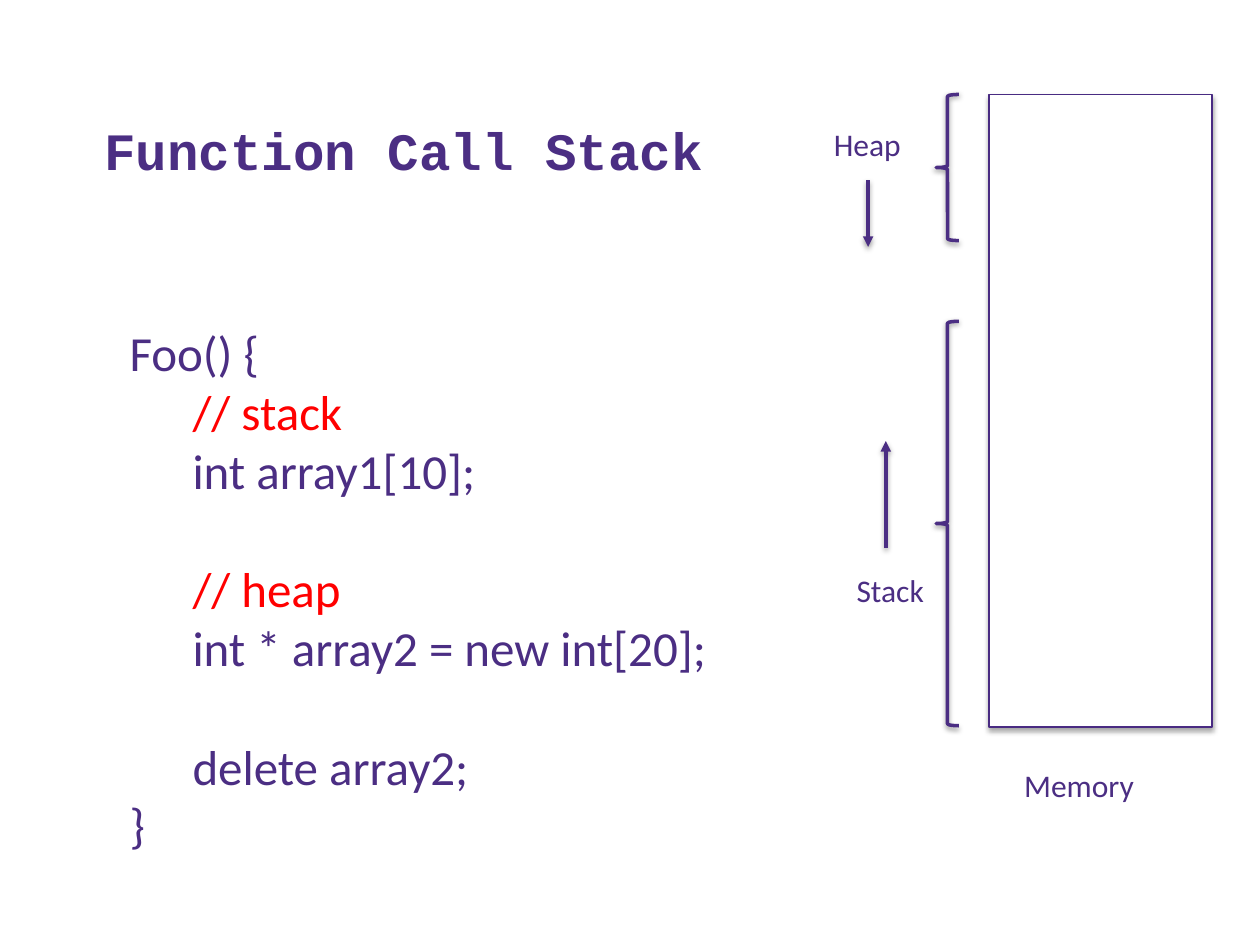
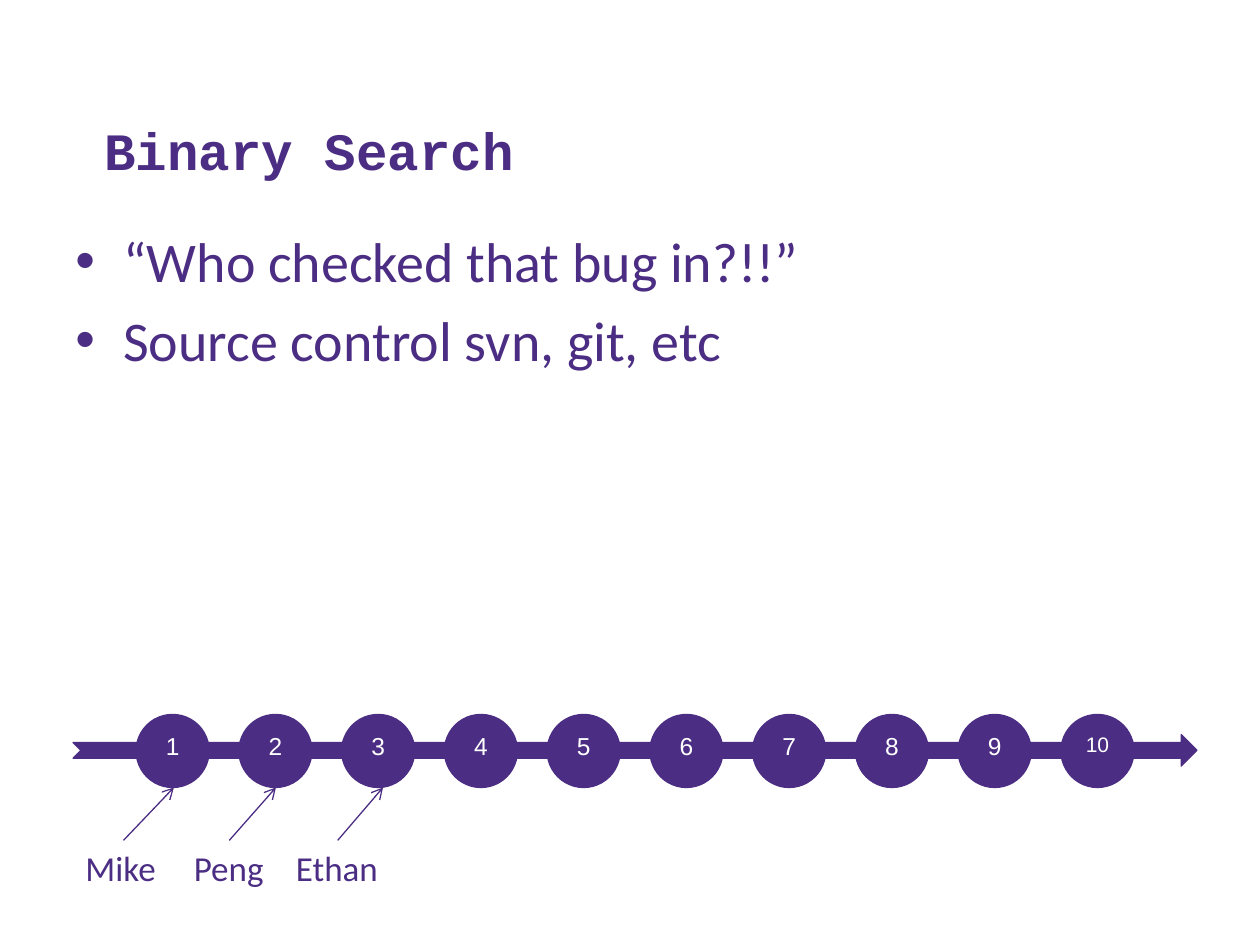
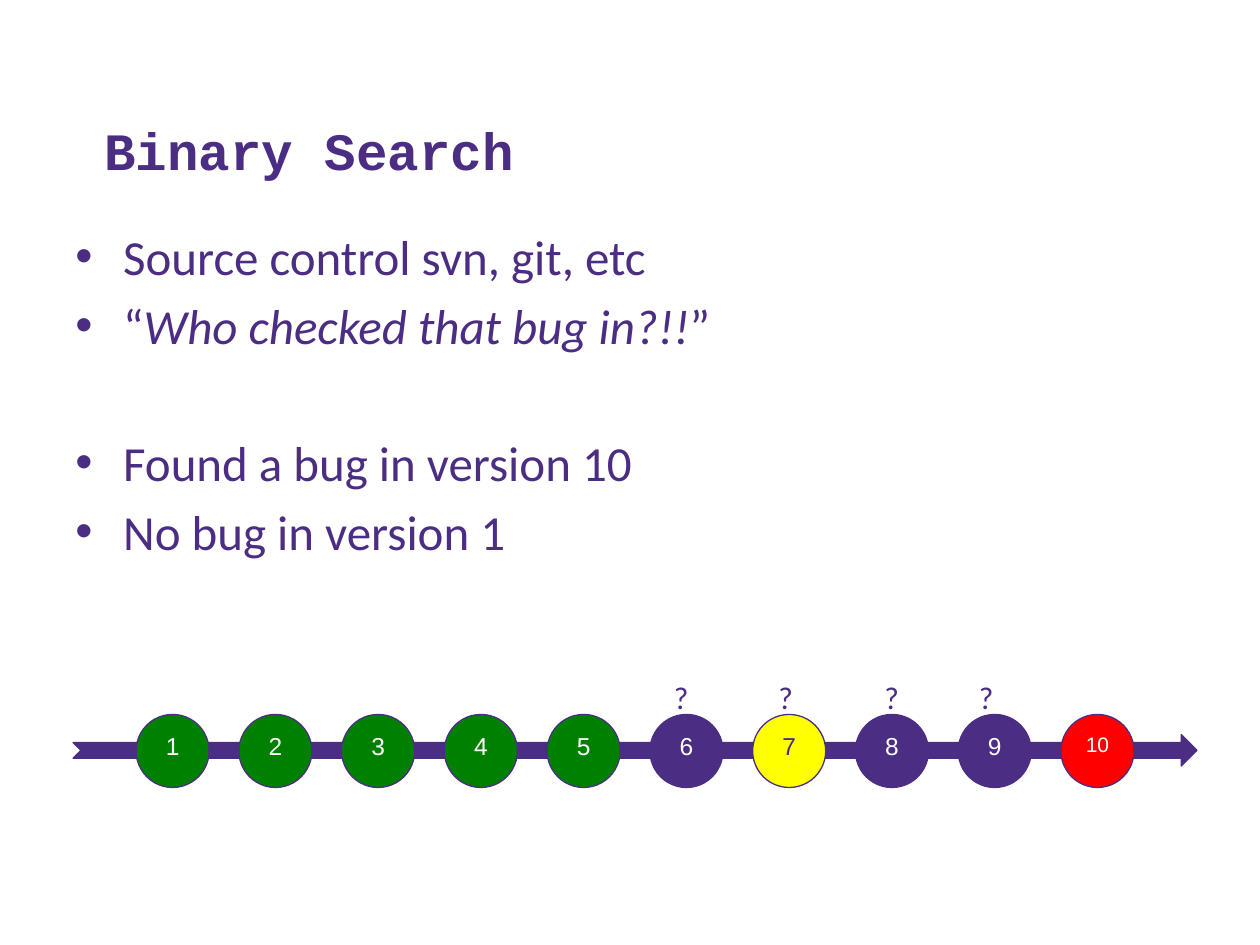
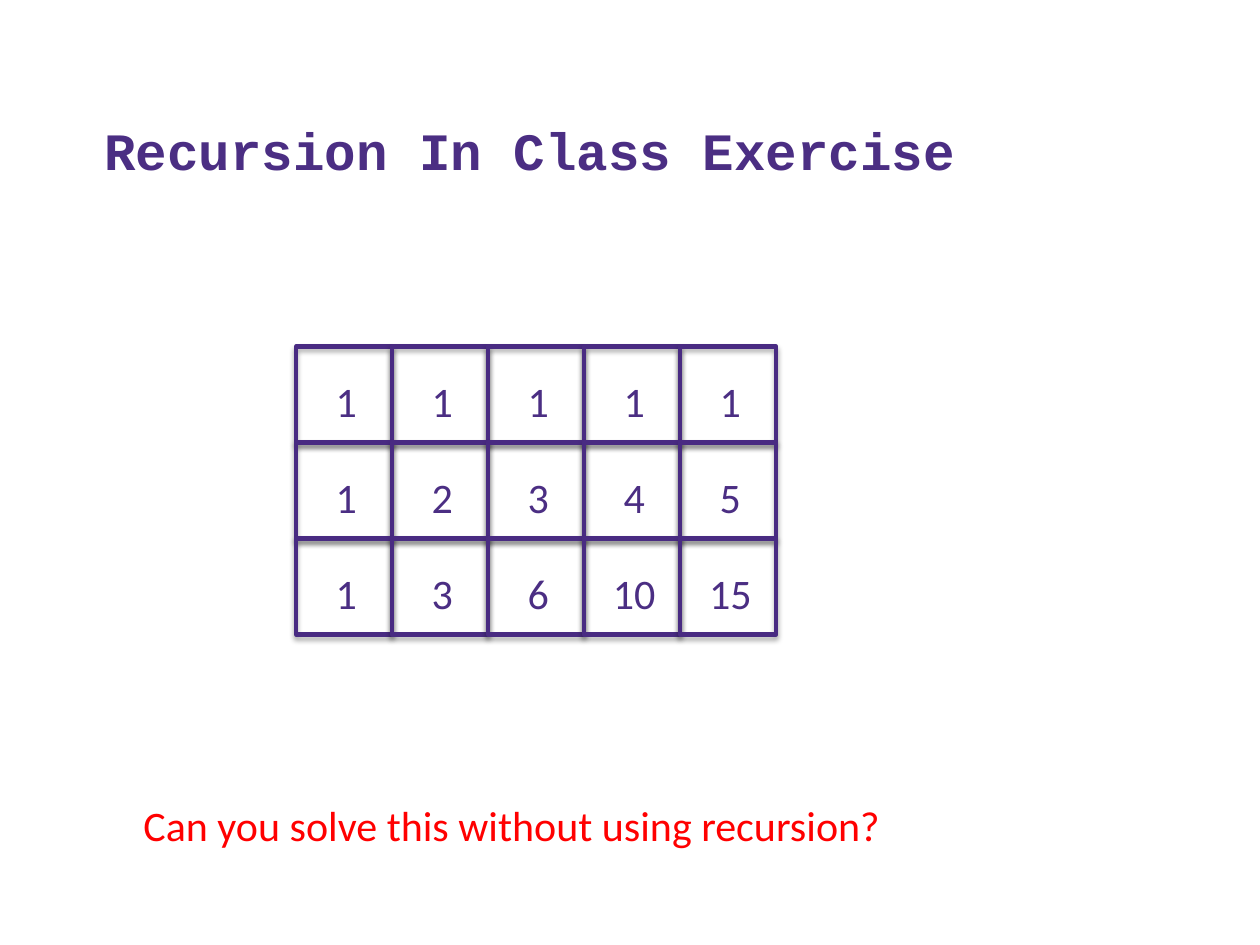
from lxml import etree
from pptx import Presentation
from pptx.dml.color import RGBColor
from pptx.enum.shapes import MSO_CONNECTOR, MSO_SHAPE
from pptx.enum.text import MSO_ANCHOR, MSO_AUTO_SIZE, PP_ALIGN
from pptx.oxml.ns import qn
from pptx.util import Inches, Pt

RECTANGLE, BRACE = MSO_SHAPE.RECTANGLE, MSO_SHAPE.LEFT_BRACE
OVAL, NOTCHED_ARROW = MSO_SHAPE.OVAL, MSO_SHAPE.NOTCHED_RIGHT_ARROW
STRAIGHT = MSO_CONNECTOR.STRAIGHT
TOP, BOTTOM = MSO_ANCHOR.TOP, MSO_ANCHOR.BOTTOM
GROW, FIXED = MSO_AUTO_SIZE.SHAPE_TO_FIT_TEXT, MSO_AUTO_SIZE.NONE
CENTER = PP_ALIGN.CENTER

PURPLE = RGBColor(0x4B, 0x2E, 0x83)
OUTLINE = RGBColor(0x49, 0x2B, 0x82)
WHITE = RGBColor(0xFF, 0xFF, 0xFF)
RED = RGBColor(0xFF, 0x00, 0x00)
GREEN = RGBColor(0x00, 0x80, 0x00)
YELLOW = RGBColor(0xFF, 0xFF, 0x00)
BODY_FONT, TITLE_FONT, NUMBER_FONT = "Calibri", "Courier New", "Arial"

SLIDE_WIDTH, SLIDE_HEIGHT = 10, 7.5
TITLE_BOX = (0.73, 0.41, 8.95, 1.08)
BODY_BOX = (0.5, 1.75, 9, 4.87)
BOX_SHADOW = {"alpha": 35, "blur": 3.1, "distance": 1.8}
LINE_SHADOW = {"alpha": 38, "blur": 3.1, "distance": 1.6}

CODE_BOX = (0.93, 2.51, 4.83, 4.34)
CODE_SIZE = 28
CODE_BLOCKS = [
    ["Foo() {", "\t// stack", "\tint array1[10];"],
    ["\t// heap", "\tint * array2 = new int[20];"],
    ["\tdelete array2;", "}"],
]
MEMORY_BOX = (7.85, 0.75, 1.77, 5.02)
BRACES = [(7.43, 2.55, 0.18, 3.21), (7.43, 0.75, 0.18, 1.16)]
MEMORY_LABELS = [
    ("Stack", (6.7, 4.48, 0.74, 0.4)),
    ("Heap", (6.52, 0.94, 0.74, 0.4)),
    ("Memory", (8.03, 6.03, 1.08, 0.4)),
]
GROWTH_ARROWS = [((7.03, 4.35), (7.03, 3.5)), ((6.89, 1.43), (6.89, 1.96))]

TIMELINE_BOX = (0.58, 5.83, 8.92, 0.25)
VERSION_COUNT = 10
FIRST_VERSION, LAST_VERSION = 1.08, 8.42
VERSION_TOP, VERSION_SIZE = 5.67, 0.58
VERSION_PITCH = (LAST_VERSION - FIRST_VERSION) / (VERSION_COUNT - 1)
TESTED = {**dict.fromkeys(range(1, 6), GREEN), 7: YELLOW, 10: RED}
AUTHOR_TOP, AUTHOR_HEIGHT = 6.67, 0.44
AUTHORS = [
    ("Mike", 0.58, 0.79, 0.98, 1.38),
    ("Peng", 1.44, 0.76, 1.82, 2.19),
    ("Ethan", 2.25, 0.86, 2.68, 3.04),
]
QUESTION_LEFTS = [5.25, 6.08, 6.92, 7.67]
SEARCH_BULLETS = [
    [[("“Who checked that bug in?!!”", False)], [("Source control svn, git, etc", False)]],
]
BUG_BULLETS = [
    [
        [("Source control svn, git, etc", False)],
        [("“", False), ("Who checked that bug in?!!", True), ("”", False)],
    ],
    [[("Found a bug in version 10", False)], [("No bug in version 1", False)]],
]

GRID_ROWS = [[1, 1, 1, 1, 1], [1, 2, 3, 4, 5], [1, 3, 6, 10, 15]]
GRID_LEFT, GRID_TOP, GRID_WIDTH = 2.35, 2.75, 3.81
CELL = GRID_WIDTH / len(GRID_ROWS[0])
NUMBER_WIDTHS = {1: 0.37, 2: 0.54}
QUESTION = "Can you solve this without using recursion?"
QUESTION_BOX = (1.04, 6.3, 6.1, 0.5)


def inches(lengths):
    return [Inches(length) for length in lengths]


def add_run(paragraph, text, size, color=PURPLE, font=BODY_FONT, bold=False, italic=False):
    run = paragraph.add_run()
    run.text = text
    run.font.size = Pt(size)
    run.font.name = font
    run.font.color.rgb = color
    run.font.bold = bold
    run.font.italic = italic


def add_frame(slide, box, wrap=False, anchor=TOP):
    frame = slide.shapes.add_textbox(*inches(box)).text_frame
    frame.word_wrap = wrap
    frame.auto_size = FIXED if wrap else GROW
    frame.vertical_anchor = anchor
    return frame


def add_label(slide, text, box, size, color=PURPLE):
    add_run(add_frame(slide, box).paragraphs[0], text, size, color)


def next_paragraph(frame, index):
    return frame.add_paragraph() if index else frame.paragraphs[0]


def style_line(shape, color, width, shadow=None, arrowhead=None):
    shape.line.color.rgb = color
    shape.line.width = Pt(width)
    properties = shape._element.spPr
    if arrowhead:
        etree.SubElement(properties.find(qn("a:ln")), qn("a:tailEnd"), type=arrowhead)
    effects = etree.SubElement(properties, qn("a:effectLst"))
    if shadow:
        outer = etree.SubElement(
            effects, qn("a:outerShdw"), blurRad=str(Pt(shadow["blur"])),
            dist=str(Pt(shadow["distance"])), dir="5400000", rotWithShape="0")
        black = etree.SubElement(outer, qn("a:srgbClr"), val="000000")
        etree.SubElement(black, qn("a:alpha"), val=str(shadow["alpha"] * 1000))


def add_shape(slide, kind, box, fill=None, line=PURPLE, width=0.75, shadow=None):
    shape = slide.shapes.add_shape(kind, *inches(box))
    if fill is None:
        shape.fill.background()
    else:
        shape.fill.solid()
        shape.fill.fore_color.rgb = fill
    style_line(shape, line, width, shadow)
    return shape


def add_arrow(slide, start, end, width, arrowhead, shadow=None):
    connector = slide.shapes.add_connector(STRAIGHT, *inches(start + end))
    style_line(connector, PURPLE, width, shadow, arrowhead)


def add_titled_slide(presentation, title):
    slide = presentation.slides.add_slide(presentation.slide_layouts[6])
    frame = add_frame(slide, TITLE_BOX, wrap=True, anchor=BOTTOM)
    add_run(frame.paragraphs[0], title, 30, font=TITLE_FONT, bold=True)
    return slide


def add_code(slide):
    frame = add_frame(slide, CODE_BOX)
    index = 0
    for block in CODE_BLOCKS:
        for position, text in enumerate(block):
            paragraph = next_paragraph(frame, index)
            properties = paragraph._p.get_or_add_pPr()
            tabs = etree.SubElement(properties, qn("a:tabLst"))
            etree.SubElement(tabs, qn("a:tab"), pos=str(Inches(0.5)), algn="l")
            if index and position == 0:
                paragraph.space_before = Pt(CODE_SIZE * 1.22)
            add_run(paragraph, text, CODE_SIZE, RED if "//" in text else PURPLE)
            index += 1


def add_bullets(slide, groups, size):
    frame = add_frame(slide, BODY_BOX, wrap=True)
    index = 0
    for group in groups:
        for position, runs in enumerate(group):
            paragraph = next_paragraph(frame, index)
            properties = paragraph._p.get_or_add_pPr()
            properties.set("marL", str(Inches(0.38)))
            properties.set("indent", str(Inches(-0.38)))
            etree.SubElement(properties, qn("a:buFont"), typeface=NUMBER_FONT)
            etree.SubElement(properties, qn("a:buChar"), char="•")
            if index:
                paragraph.space_before = Pt(size * (0.2 if position else 1.6))
            for text, italic in runs:
                add_run(paragraph, text, size, italic=italic)
            index += 1


def add_timeline(slide, fills):
    add_shape(slide, NOTCHED_ARROW, TIMELINE_BOX, PURPLE)
    for version in range(1, VERSION_COUNT + 1):
        left = FIRST_VERSION + (version - 1) * VERSION_PITCH
        fill = fills.get(version, PURPLE)
        box = (left, VERSION_TOP, VERSION_SIZE, VERSION_SIZE)
        frame = add_shape(slide, OVAL, box, fill).text_frame
        frame.vertical_anchor = TOP
        paragraph = frame.paragraphs[0]
        paragraph.alignment = CENTER
        color = PURPLE if fill == YELLOW else WHITE
        add_run(paragraph, str(version), 14 if version < 10 else 12, color, NUMBER_FONT)


def build_call_stack(presentation):
    slide = add_titled_slide(presentation, "Function Call Stack")
    add_shape(slide, RECTANGLE, MEMORY_BOX, WHITE, OUTLINE, shadow=BOX_SHADOW)
    for box in BRACES:
        add_shape(slide, BRACE, box, width=2, shadow=LINE_SHADOW)
    for text, box in MEMORY_LABELS:
        add_label(slide, text, box, 18)
    for start, end in GROWTH_ARROWS:
        add_arrow(slide, start, end, 2, "triangle", LINE_SHADOW)
    add_code(slide)


def build_authors(presentation):
    slide = add_titled_slide(presentation, "Binary Search")
    add_bullets(slide, SEARCH_BULLETS, 32)
    add_timeline(slide, {})
    for name, left, width, start, end in AUTHORS:
        add_label(slide, name, (left, AUTHOR_TOP, width, AUTHOR_HEIGHT), 20)
        add_arrow(slide, (start, AUTHOR_TOP), (end, VERSION_TOP + VERSION_SIZE), 0.75, "arrow")


def build_bug_hunt(presentation):
    slide = add_titled_slide(presentation, "Binary Search")
    add_bullets(slide, BUG_BULLETS, 28)
    add_timeline(slide, TESTED)
    for left in QUESTION_LEFTS:
        add_label(slide, "?", (left, 5.33, 0.38, 0.57), 18)


def build_exercise(presentation):
    slide = add_titled_slide(presentation, "Recursion In Class Exercise")
    for row, numbers in enumerate(GRID_ROWS):
        for column, number in enumerate(numbers):
            left, top = GRID_LEFT + column * CELL, GRID_TOP + row * CELL
            add_shape(slide, RECTANGLE, (left, top, CELL, CELL), None, OUTLINE, 2.5, BOX_SHADOW)
            text = str(number)
            width = NUMBER_WIDTHS[len(text)]
            label_left = left + (CELL - width) / 2 + 0.02
            add_label(slide, text, (label_left, top + 0.18, width, 0.5), 24)
    add_label(slide, QUESTION, QUESTION_BOX, 24, RED)


def main():
    presentation = Presentation()
    presentation.slide_width = Inches(SLIDE_WIDTH)
    presentation.slide_height = Inches(SLIDE_HEIGHT)
    for build in (build_call_stack, build_authors, build_bug_hunt, build_exercise):
        build(presentation)
    presentation.save("out.pptx")


if __name__ == "__main__":
    main()
